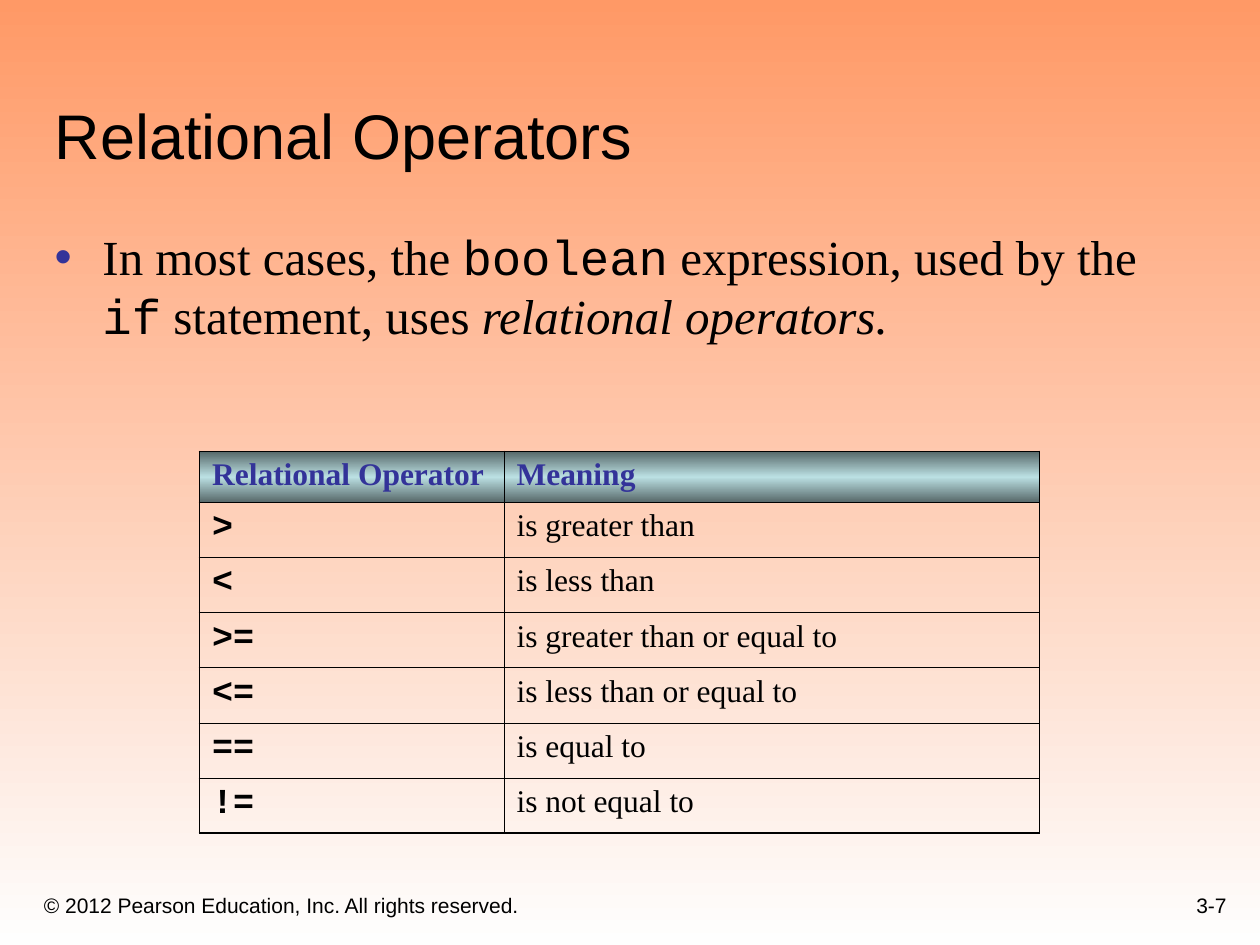
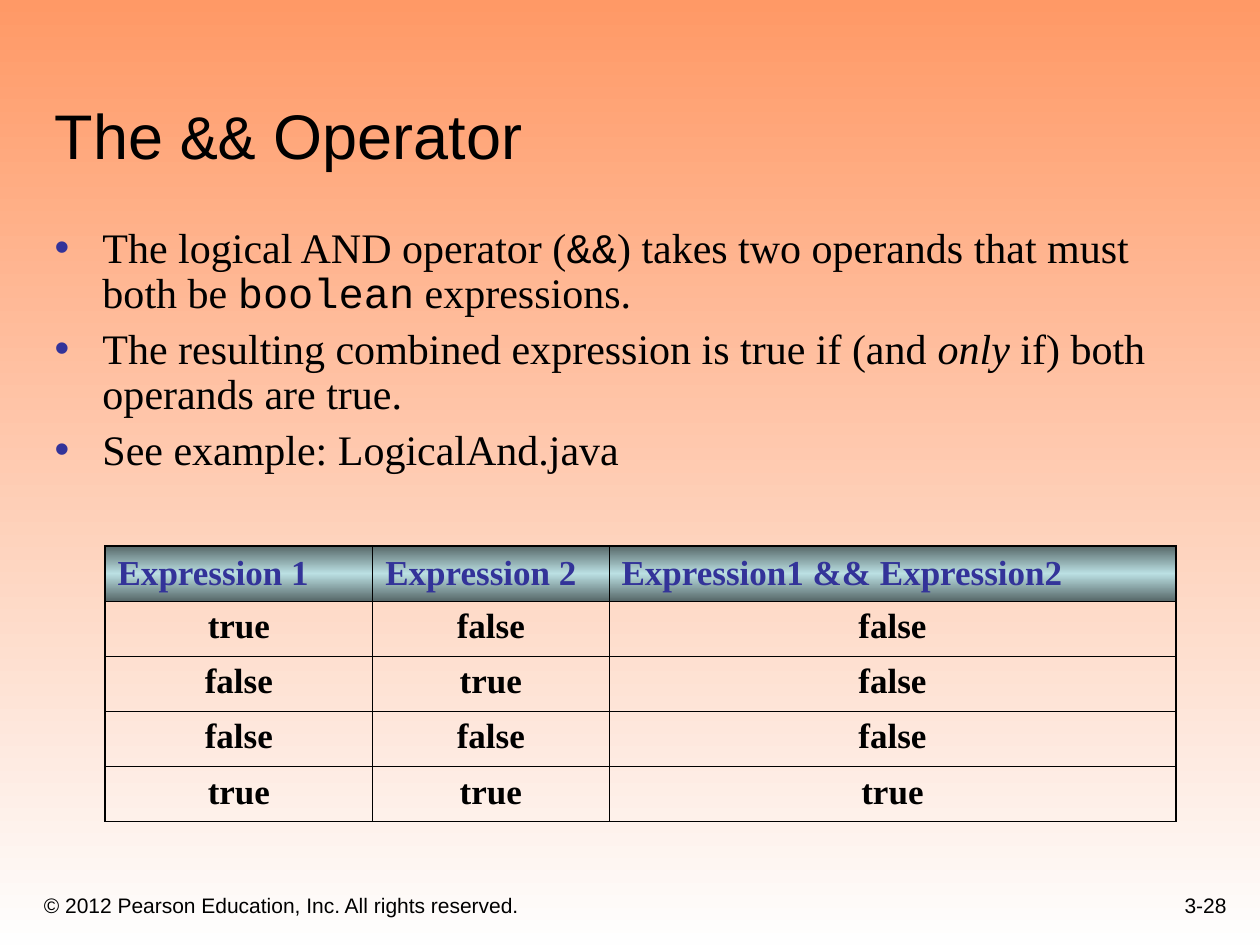
"""Build two slides on Java operators: relational operators and logical AND."""
from copy import deepcopy
from dataclasses import dataclass
from typing import Any, NamedTuple

from lxml import etree
from pptx import Presentation
from pptx import util as u
from pptx.dml.color import RGBColor
from pptx.enum import text
from pptx.oxml import ns

BLACK = RGBColor(0x00, 0x00, 0x00)
INDIGO = RGBColor(0x33, 0x33, 0x99)
ORANGE = RGBColor(0xFF, 0x99, 0x66)
PALE = RGBColor(0xFE, 0xFE, 0xFE)
SLATE = RGBColor(0x57, 0x68, 0x69)
AQUA = RGBColor(0xBB, 0xE0, 0xE3)
SANS, SERIF, MONO = "Arial", "Times New Roman", "Courier New"
UNIT = u.Inches(10) // 120
OUTER, INNER = u.Pt(1.08), u.Pt(0.45)
COPYRIGHT = "© 2012 Pearson Education, Inc. All rights reserved."


class Area(NamedTuple):
    """Left, top, width and height on a grid of 120 columns and 90 rows."""
    left: float
    top: float
    width: float
    height: float

    def emu(self) -> list[int]:
        return [grid(value) for value in self]


TITLE_AREA = Area(4, 4, 113, 13)
COPYRIGHT_AREA = Area(3, 83, 73, 5)
NUMBER_AREA = Area(93, 82, 25, 6)


class Span(NamedTuple):
    """A piece of text with one format."""
    words: str
    style: dict[str, Any] = {}


CODE = {"name": MONO}
ITALIC = {"italic": True}


@dataclass
class Column:
    """A table column with its heading and the look of its cells."""
    heading: str
    width: float
    style: dict[str, Any]
    align: Any = text.PP_ALIGN.LEFT


@dataclass
class Grid:
    """A table with its place, columns and rows."""
    left: float
    top: float
    header_height: float
    header_size: int
    header_anchor: Any
    columns: list[Column]
    rows: list[list[str]]


@dataclass
class Topic:
    """All that one slide shows."""
    title: list[Span]
    number: str
    body_height: float
    body_size: int
    line_spacing: float
    points: list[list[Span]]
    table: Grid


def grid(value: float) -> int:
    """Turn grid units into a length."""
    return int(value * UNIT)


def set_all(target: Any, values: dict[str, Any]) -> None:
    """Set each named attribute of an object."""
    for name, value in values.items():
        setattr(target, name, value)


def write(para: Any, spans: list[Span], size: float, font: str,
          color: RGBColor = BLACK) -> None:
    """Add formatted runs to a paragraph."""
    for span in spans:
        run = para.add_run()
        run.text = span.words
        set_all(run.font, {"name": font, "size": u.Pt(size)} | span.style)
        run.font.color.rgb = color


def paint(fill: Any, holder: Any, colors: list[RGBColor]) -> None:
    """Fill from top to bottom with evenly spaced colours."""
    fill.gradient()
    fill.gradient_angle = 270
    stops = next(holder.iter(ns.qn("a:gsLst")))
    for _ in colors[2:]:
        stops.append(deepcopy(stops[-1]))
    for index, (stop, color) in enumerate(zip(fill.gradient_stops, colors)):
        stop.color.rgb = color
        stop.position = index / (len(colors) - 1)


def add_bullet(para: Any) -> None:
    """Give a paragraph a coloured bullet and a hanging indent."""
    props = para._p.get_or_add_pPr()
    props.set("marL", str(u.Inches(0.38)))
    props.set("indent", str(-u.Inches(0.38)))
    color = etree.SubElement(props, ns.qn("a:buClr"))
    etree.SubElement(color, ns.qn("a:srgbClr"), val=str(INDIGO))
    etree.SubElement(props, ns.qn("a:buChar"), char="•")


def add_borders(cell: Any, widths: dict[str, int]) -> None:
    """Draw the four sides of a cell."""
    props = cell._tc.get_or_add_tcPr()
    for index, (side, width) in enumerate(widths.items()):
        line = etree.Element(ns.qn(f"a:ln{side}"), w=str(width))
        fill = etree.SubElement(line, ns.qn("a:solidFill"))
        etree.SubElement(fill, ns.qn("a:srgbClr"), val=str(BLACK))
        props.insert(index, line)


def add_footer(page: Any, area: Area, words: str, align: Any) -> None:
    """Add a small line of text at the foot of the slide."""
    frame = page.shapes.add_textbox(*area.emu()).text_frame
    set_all(frame, {"word_wrap": True, "vertical_anchor": text.MSO_ANCHOR.BOTTOM})
    para = frame.paragraphs[0]
    para.alignment = align
    write(para, [Span(words)], 12, SANS)


def place(box: Any, area: Area, anchor: Any) -> Any:
    """Move a placeholder and return its text frame."""
    set_all(box, dict(zip(("left", "top", "width", "height"), area.emu())))
    set_all(box.text_frame, {"word_wrap": True, "vertical_anchor": anchor,
                             "auto_size": text.MSO_AUTO_SIZE.NONE})
    return box.text_frame


def add_body(page: Any, topic: Topic) -> None:
    """Write the bullet list."""
    area = Area(4, 21, 109, topic.body_height)
    frame = place(page.placeholders[1], area, text.MSO_ANCHOR.TOP)
    frame.margin_right = 0
    for index, spans in enumerate(topic.points):
        para = frame.add_paragraph() if index else frame.paragraphs[0]
        add_bullet(para)
        set_all(para, {"space_before": u.Pt(6 if index else 0),
                       "line_spacing": topic.line_spacing})
        write(para, spans, topic.body_size, SERIF)


def add_grid(page: Any, spec_table: Grid) -> None:
    """Draw a table with a shaded heading row."""
    columns, row_height = spec_table.columns, 5.25
    last_row, last_column = len(spec_table.rows), len(columns) - 1
    area = Area(spec_table.left, spec_table.top, sum(c.width for c in columns),
                spec_table.header_height + row_height * last_row)
    table = page.shapes.add_table(last_row + 1, len(columns), *area.emu()).table
    set_all(table, {"first_row": False, "horz_banding": False})
    for index, row in enumerate(table.rows):
        row.height = grid(row_height if index else spec_table.header_height)
    for c, column in enumerate(columns):
        table.columns[c].width = grid(column.width)
        for r in range(last_row + 1):
            cell = table.cell(r, c)
            para = cell.text_frame.paragraphs[0]
            if r:
                cell.fill.background()
                para.alignment = column.align
                words = spec_table.rows[r - 1][c]
                write(para, [Span(words, column.style)], 18, SERIF)
            else:
                paint(cell.fill, cell._tc, [SLATE, AQUA, SLATE])
                cell.vertical_anchor = spec_table.header_anchor
                write(para, [Span(column.heading, {"bold": True})],
                      spec_table.header_size, SERIF, INDIGO)
            add_borders(cell, {"L": INNER if c else OUTER,
                               "R": OUTER if c == last_column else INNER,
                               "T": INNER if r else OUTER,
                               "B": OUTER if r == last_row else INNER})


def add_topic(deck: Any, topic: Topic) -> None:
    """Add one slide."""
    page = deck.slides.add_slide(deck.slide_layouts[1])
    paint(page.background.fill, page._element, [ORANGE, PALE])
    add_footer(page, COPYRIGHT_AREA, COPYRIGHT, text.PP_ALIGN.LEFT)
    add_footer(page, NUMBER_AREA, topic.number, text.PP_ALIGN.RIGHT)
    title = place(page.shapes.title, TITLE_AREA, text.MSO_ANCHOR.BOTTOM).paragraphs[0]
    title.alignment = text.PP_ALIGN.LEFT
    write(title, topic.title, 36, SANS)
    add_body(page, topic)
    add_grid(page, topic.table)


SYMBOL = {"name": MONO, "size": u.Pt(20), "bold": True}
TRUTH = {"size": u.Pt(20), "bold": True}
CENTER = text.PP_ALIGN.CENTER

TOPICS = [
    Topic(
        [Span("Relational Operators")], "3-7", 16, 28, 1.0,
        [[Span("In most cases, the "), Span("boolean", CODE),
          Span(" expression, used by the "), Span("if", CODE),
          Span(" statement, uses "), Span("relational operators.", ITALIC)]],
        Grid(19, 43, 4.85, 18, text.MSO_ANCHOR.TOP,
             [Column("Relational Operator", 29, SYMBOL), Column("Meaning", 51, {})],
             [[">", "is greater than"],
              ["<", "is less than"],
              [">=", "is greater than or equal to"],
              ["<=", "is less than or equal to"],
              ["==", "is equal to"],
              ["!=", "is not equal to"]])),
    Topic(
        [Span("The "), Span("&&", CODE), Span(" Operator")], "3-28", 29, 24, 0.9,
        [[Span("The logical AND operator ("), Span("&&", CODE),
          Span(") takes two operands that must both be "),
          Span("boolean", CODE), Span(" expressions.")],
         [Span("The resulting combined expression is true if (and "),
          Span("only", ITALIC), Span(" if) both operands are true.")],
         [Span("See example: LogicalAnd.java")]],
        Grid(10, 52, 5.25, 20, text.MSO_ANCHOR.MIDDLE,
             [Column("Expression 1", 25.5, TRUTH, CENTER),
              Column("Expression 2", 22.5, TRUTH, CENTER),
              Column("Expression1 && Expression2", 54, TRUTH, CENTER)],
             [["true", "false", "false"],
              ["false", "true", "false"],
              ["false", "false", "false"],
              ["true", "true", "true"]])),
]


def main() -> None:
    """Build and save the deck."""
    deck = Presentation()
    set_all(deck, {"slide_width": grid(120), "slide_height": grid(90)})
    for topic in TOPICS:
        add_topic(deck, topic)
    deck.save("out.pptx")


if __name__ == "__main__":
    main()
